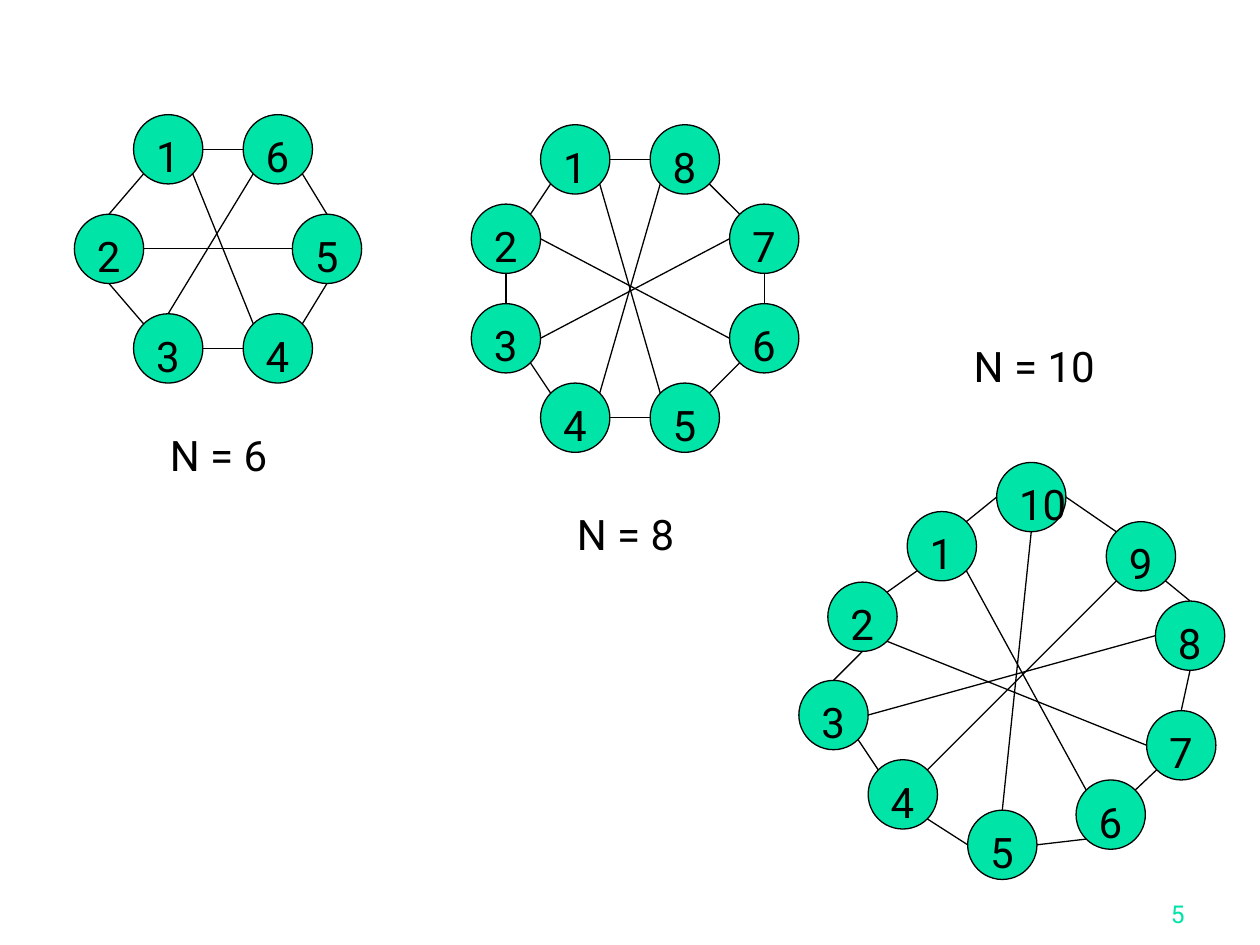
"""Build a slide with three circular graphs of 6, 8 and 10 nodes."""
from math import cos, radians, sin

from lxml.etree import SubElement
from pptx import Presentation
from pptx.dml.color import RGBColor
from pptx.enum.shapes import MSO_CONNECTOR, MSO_SHAPE
from pptx.enum.text import MSO_ANCHOR, PP_ALIGN
from pptx.oxml.ns import qn
from pptx.util import Inches, Pt

COLORS = {"green": "00E4A8", "black": "000000"}
DIAMETER = 0.55
SITES = ["E", "SE", "S", "SW", "W", "NW", "N", "NE"]
GRAPHS = [
    {
        "label": ("N = 6", 1.25, 3.36, 1.01),
        "nodes": [(1.06, 0.91), (0.59, 1.7), (1.06, 2.49),
                  (1.93, 2.49), (2.32, 1.7), (1.93, 0.91)],
        "edges": ["1 SW 2 N", "1 E 6 W", "1 SE 4 NW", "2 S 3 NW", "2 E 5 W",
                  "3 E 4 W", "3 N 6 SW", "4 NE 5 S", "5 N 6 SE"],
    },
    {
        "label": ("N = 8", 4.48, 3.99, 1.01),
        "nodes": [(4.29, 0.99), (3.74, 1.62), (3.74, 2.41), (4.29, 3.04),
                  (5.16, 3.04), (5.79, 2.41), (5.79, 1.62), (5.16, 0.99)],
        "edges": ["1 SW 2 NE", "1 E 8 W", "1 SE 5 NW", "2 S 3 N", "2 E 6 W",
                  "3 SE 4 NW", "3 E 7 W", "4 E 5 W", "4 NE 8 SW",
                  "5 NE 6 SW", "6 N 7 S", "7 NW 8 SE"],
    },
    {
        "label": ("N = 10", 7.63, 2.65, 1.2),
        "nodes": [(7.2, 4.06), (6.57, 4.62), (6.34, 5.4), (6.89, 6.03),
                  (7.68, 6.43), (8.54, 6.19), (9.1, 5.64), (9.17, 4.77),
                  (8.78, 4.14), (7.91, 3.67)],
        "edges": ["1 SW 2 NE", "1 NE 10 W", "1 SE 6 NW", "2 S 3 N",
                  "2 SE 7 W", "3 SE 4 NW", "3 E 8 W", "4 SE 5 W",
                  "4 NE 9 SW", "5 E 6 SW", "5 N 10 S", "6 NE 7 SW",
                  "7 N 8 S", "8 N 9 SE", "9 NW 10 E"],
    },
]


def write(shape, text, size=24, color="black", align=PP_ALIGN.LEFT,
          anchor=MSO_ANCHOR.TOP, wrap=False):
    """Put one formatted line of text in a shape."""
    frame = shape.text_frame
    for name, value in {"word_wrap": wrap, "vertical_anchor": anchor}.items():
        setattr(frame, name, value)
    para = frame.paragraphs[0]
    para.alignment = align
    span = para.add_run()
    span.text = text
    for name, value in {"name": "Roboto", "size": Pt(size)}.items():
        setattr(span.font, name, value)
    span.font.color.rgb = RGBColor.from_string(COLORS[color])


def site_point(node, site):
    """Return the point of a node's rim that lies in a compass direction."""
    angle = radians(45 * SITES.index(site))
    radius = DIAMETER / 2
    left, top = node
    return (Inches(left + radius + radius * cos(angle)),
            Inches(top + radius + radius * sin(angle)))


deck = Presentation()
deck.slide_width, deck.slide_height = Inches(10), Inches(7.5)
page = deck.slides.add_slide(deck.slide_layouts[6])

number_box = page.shapes.add_textbox(
    Inches(7.42), Inches(6.92), Inches(2.08), Inches(0.5))
write(number_box, "5", size=14, color="green", align=PP_ALIGN.RIGHT,
      anchor=MSO_ANCHOR.BOTTOM, wrap=True)

for graph in GRAPHS:
    nodes = graph["nodes"]
    for number, (left, top) in enumerate(nodes, start=1):
        circle = page.shapes.add_shape(
            MSO_SHAPE.OVAL, Inches(left), Inches(top),
            Inches(DIAMETER), Inches(DIAMETER))
        circle.shadow.inherit = False
        circle.fill.solid()
        circle.fill.fore_color.rgb = RGBColor.from_string(COLORS["green"])
        circle.line.color.rgb = RGBColor.from_string(COLORS["black"])
        circle.line.width = Pt(0.75)
        write(circle, str(number))

    for edge in graph["edges"]:
        start, start_site, end, end_site = edge.split()
        connector = page.shapes.add_connector(
            MSO_CONNECTOR.STRAIGHT,
            *site_point(nodes[int(start) - 1], start_site),
            *site_point(nodes[int(end) - 1], end_site))
        connector.line.color.rgb = RGBColor.from_string(COLORS["black"])
        connector.line.width = Pt(0.75)
        SubElement(connector._element.spPr, qn("a:effectLst"))

    text, left, top, width = graph["label"]
    label_box = page.shapes.add_textbox(
        Inches(left), Inches(top), Inches(width), Inches(0.5))
    write(label_box, text)

deck.save("out.pptx")
